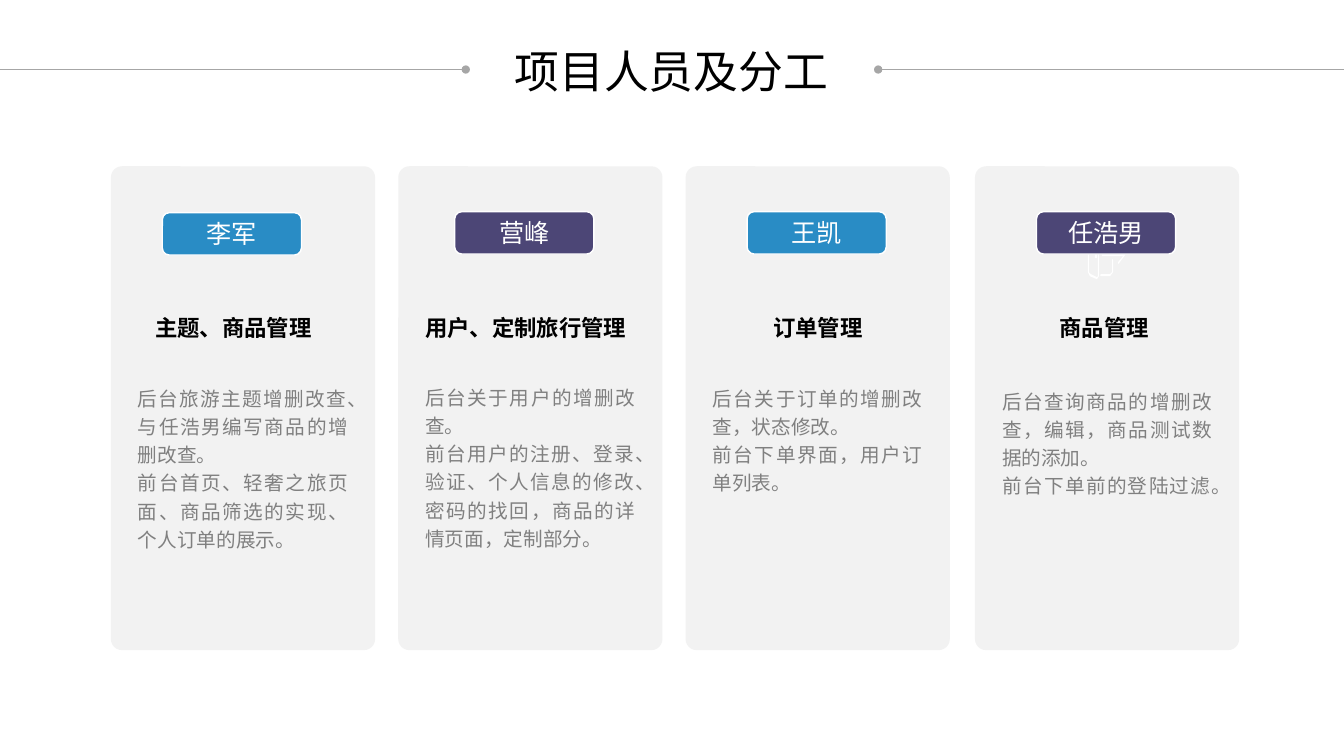
from pptx import Presentation
from pptx.dml.color import RGBColor
from pptx.enum.shapes import MSO_CONNECTOR, MSO_SHAPE
from pptx.enum.text import MSO_ANCHOR, MSO_AUTO_SIZE, PP_ALIGN
from pptx.oxml.ns import qn
from pptx.util import Inches, Pt
from lxml.etree import SubElement

WHITE = RGBColor(0xFF, 0xFF, 0xFF)
BLACK = RGBColor(0x00, 0x00, 0x00)
CARD_GRAY = RGBColor(0xF2, 0xF2, 0xF2)
RULE_GRAY = RGBColor(0xA6, 0xA6, 0xA6)
BODY_GRAY = RGBColor(0x80, 0x80, 0x80)
BLUE = RGBColor(0x29, 0x8C, 0xC5)
PURPLE = RGBColor(0x4C, 0x46, 0x76)

TITLE_FONT = "Roboto Condensed"
BODY_FONT = "Arial"
SLIDE_WIDTH = 13.33
CARD_TOP, CARD_WIDTH, CARD_HEIGHT = 1.65, 2.62, 4.8
BODY_INSET, BODY_WIDTH = 0.17, 2.28

# Card left; badge name, left, top, colour; role, left, width; duties, top, height
MEMBERS = [
    (1.1, ("李军", 1.61, 2.11, BLUE), ("主题、商品管理", 1.44, 2.28),
     (["后台旅游主题增删改查、与任浩男编写商品的增删改查。",
       "前台首页、轻奢之旅页面、商品筛选的实现、个人订单的展示。"], 3.74, 1.8)),
    (3.95, ("营峰", 4.51, 2.1, PURPLE), ("用户、定制旅行管理", 4.12, 2.28),
     (["后台关于用户的增删改查。",
       "前台用户的注册、登录、验证、个人信息的修改、密码的找回，"
       "商品的详情页面，定制部分。"], 3.73, 1.8)),
    (6.8, ("王凯", 7.41, 2.1, BLUE), ("订单管理", 7.57, 1.23),
     (["后台关于订单的增删改查，状态修改。",
       "前台下单界面，用户订单列表。"], 3.74, 1.23)),
    (9.67, ("任浩男", 10.28, 2.1, PURPLE), ("商品管理", 10.41, 1.14),
     (["后台查询商品的增删改查，编辑，商品测试数据的添加。",
       "前台下单前的登陆过滤。"], 3.77, 1.23)),
]

# Contours of the exit-door icon: door edge, its opening, handle, frame, arrow
DOOR_ICON = [
    [(10.88, 2.29), (10.9, 2.32), (10.9, 2.74), (10.88, 2.77), (10.81, 2.74),
     (10.79, 2.7), (10.79, 2.36), (10.81, 2.32)],
    [(10.88, 2.31), (10.82, 2.34), (10.8, 2.36), (10.8, 2.7), (10.82, 2.72),
     (10.88, 2.75), (10.89, 2.74), (10.89, 2.32)],
    [(10.86, 2.5), (10.88, 2.5), (10.88, 2.56), (10.86, 2.56)],
    [(11.03, 2.57), (11.04, 2.58), (11.04, 2.7), (11.01, 2.74), (10.92, 2.74),
     (10.91, 2.73), (10.92, 2.72), (11.01, 2.72), (11.03, 2.7)],
    [(10.92, 2.32), (11.01, 2.32), (11.04, 2.36), (11.04, 2.48), (11.03, 2.49),
     (11.03, 2.36), (11.01, 2.34), (10.92, 2.34)],
    [(11.09, 2.44), (11.1, 2.44), (11.16, 2.52), (11.16, 2.53), (11.1, 2.61),
     (11.09, 2.62), (11.09, 2.6), (11.14, 2.54), (10.93, 2.54), (10.93, 2.52),
     (11.14, 2.52), (11.09, 2.45)],
]


class SlideBuilder:
    """Draws styled elements on the current slide."""

    def __init__(self, slide):
        """Keep the slide to draw on."""
        self.shapes = slide.shapes

    def fill_text(self, frame, lines, size, color, align, font=BODY_FONT,
                  bold=False, spacing=None):
        """Fill a text frame with equally styled paragraphs."""
        frame.text = "\n".join(lines)
        for paragraph in frame.paragraphs:
            paragraph.alignment = align
            paragraph.line_spacing = spacing
            paragraph.font.name = font
            paragraph.font.size = Pt(size)
            paragraph.font.bold = bold
            paragraph.font.color.rgb = color

    def text(self, box, lines, size, color, align=PP_ALIGN.JUSTIFY, wrap=True,
             **style):
        """Add a text box that grows with its text."""
        frame = self.shapes.add_textbox(*map(Inches, box)).text_frame
        frame.word_wrap = wrap
        frame.auto_size = MSO_AUTO_SIZE.SHAPE_TO_FIT_TEXT
        self.fill_text(frame, lines, size, color, align, **style)

    def paint(self, shape, fill):
        """Give a shape a flat fill without outline or shadow."""
        shape.shadow.inherit = False
        shape.fill.solid()
        shape.fill.fore_color.rgb = fill
        shape.line.fill.background()

    def rounded(self, box, fill):
        """Add a flat rounded rectangle."""
        shape = self.shapes.add_shape(MSO_SHAPE.ROUNDED_RECTANGLE,
                                      *map(Inches, box))
        self.paint(shape, fill)
        return shape

    def card(self, left):
        """Add the background panel of one member."""
        panel = self.rounded((left, CARD_TOP, CARD_WIDTH, CARD_HEIGHT), CARD_GRAY)
        panel.adjustments[0] = 0.042

    def badge(self, name, left, top, fill):
        """Add a name badge with a white outline."""
        plate = self.rounded((left, top, 1.38, 0.42), fill)
        plate.line.color.rgb = WHITE
        plate.line.width = Pt(1)
        plate.text_frame.vertical_anchor = MSO_ANCHOR.MIDDLE
        self.fill_text(plate.text_frame, [name], 18, WHITE, PP_ALIGN.CENTER)

    def rule(self, start, end, y, dot_end):
        """Add a thin horizontal rule with a dot at one end."""
        rule = self.shapes.add_connector(
            MSO_CONNECTOR.STRAIGHT, *map(Inches, (start, y, end, y)))
        rule.line.color.rgb = RULE_GRAY
        rule.line.width = Pt(0.5)
        properties = rule._element.spPr
        SubElement(properties.find(qn("a:ln")), qn(f"a:{dot_end}"), type="oval")
        SubElement(properties, qn("a:effectLst"))

    def icon(self, contours, fill):
        """Add one filled outline made of several closed contours."""
        contours = [[(Inches(x), Inches(y)) for x, y in contour]
                    for contour in contours]
        builder = self.shapes.build_freeform(*contours[0][0])
        builder.add_line_segments(contours[0][1:], close=True)
        for contour in contours[1:]:
            builder.move_to(*contour[0])
            builder.add_line_segments(contour[1:], close=True)
        self.paint(builder.convert_to_shape(), fill)


def main():
    """Build the team slide and save it."""
    deck = Presentation()
    deck.slide_width, deck.slide_height = Inches(SLIDE_WIDTH), Inches(7.5)
    team = SlideBuilder(deck.slides.add_slide(deck.slide_layouts[6]))

    team.rule(0, 4.62, 0.69, "tailEnd")
    team.rule(8.71, SLIDE_WIDTH, 0.69, "headEnd")
    team.text((4.99, 0.38, 3.34, 0.64), ["项目人员及分工"], 32, BLACK,
              PP_ALIGN.CENTER, wrap=False, font=TITLE_FONT)

    for card_left, badge, role_text, duties_text in MEMBERS:
        role, role_left, role_width = role_text
        duties, duties_top, duties_height = duties_text
        team.card(card_left)
        if card_left == MEMBERS[-1][0]:
            team.icon(DOOR_ICON, WHITE)
        team.text((card_left + BODY_INSET, duties_top, BODY_WIDTH, duties_height),
                  duties, 14, BODY_GRAY, spacing=1.2)
        team.text((role_left, 3.01, role_width, 0.42), [role], 16, BLACK,
                  bold=True, spacing=1.2)
        team.badge(*badge)

    deck.save("out.pptx")


main()
